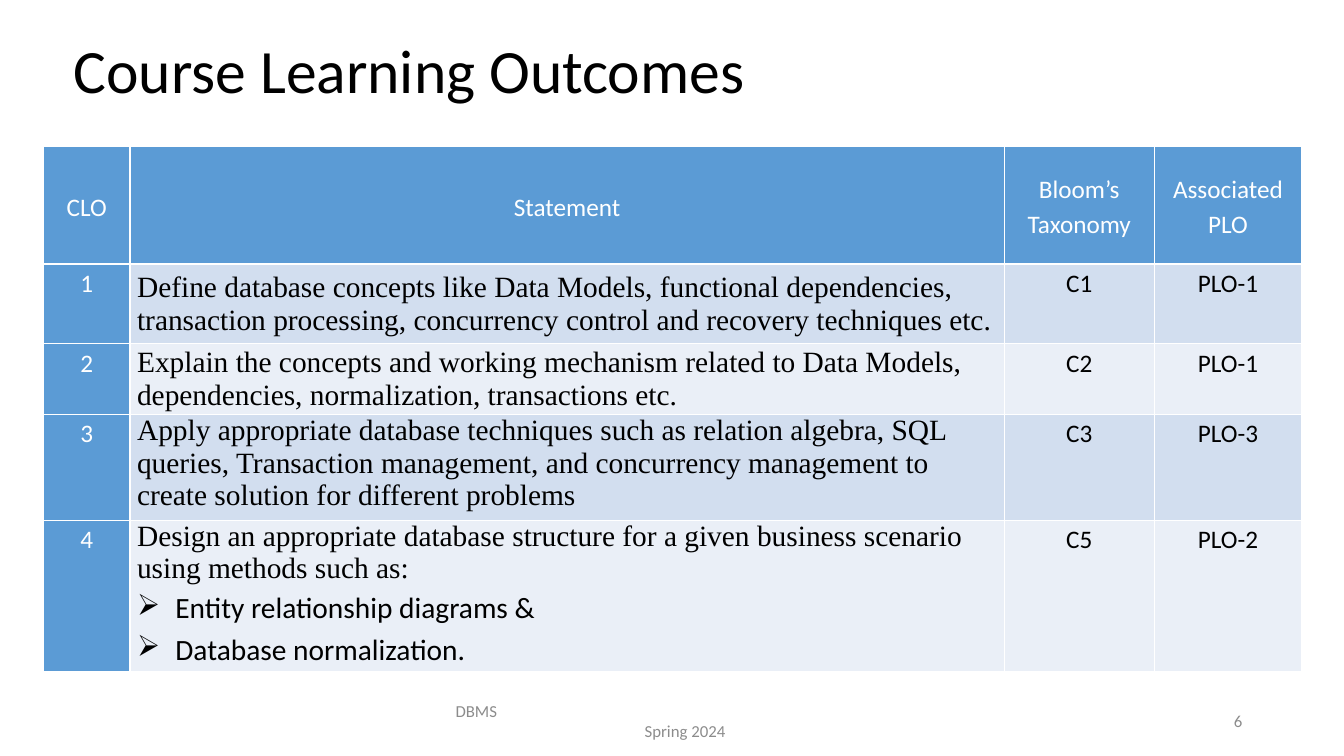
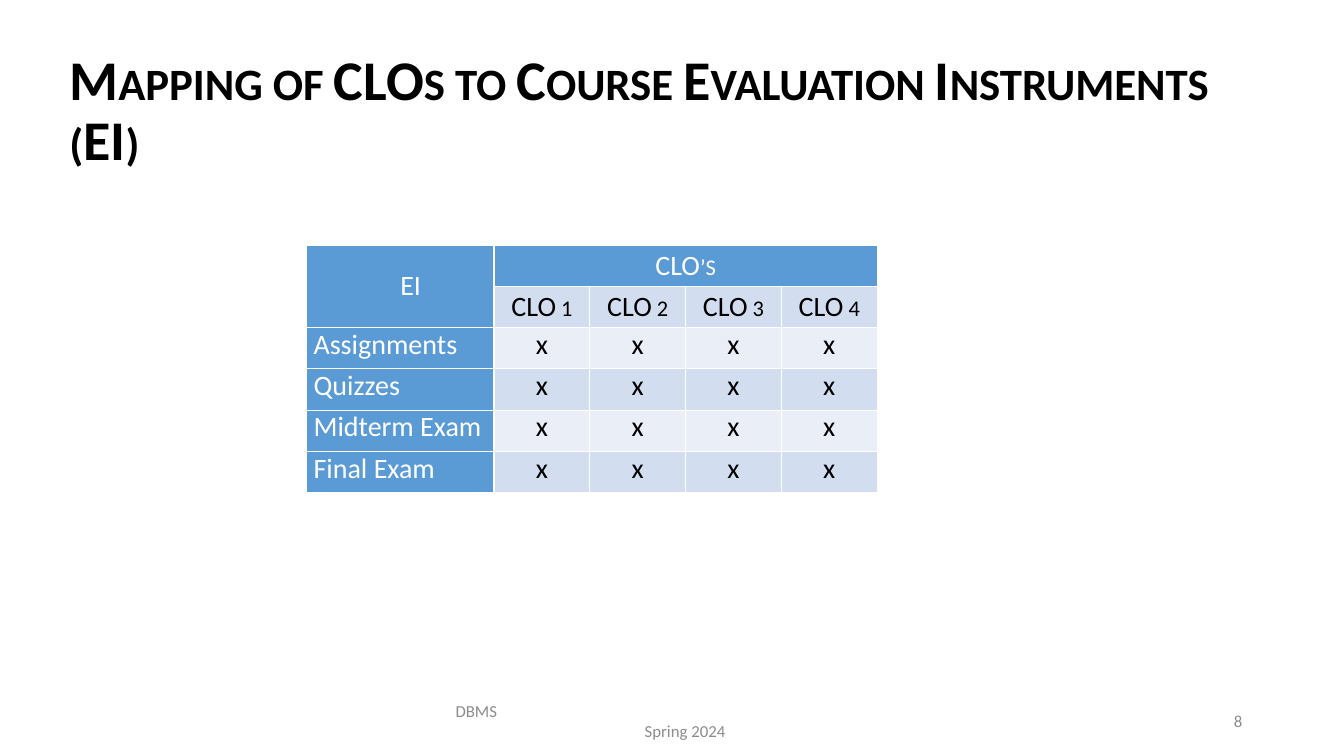
from lxml.etree import SubElement
from pptx import Presentation
from pptx.dml.color import RGBColor
from pptx.enum.text import MSO_ANCHOR as Anchor, PP_ALIGN as Align
from pptx.oxml.ns import qn
from pptx.util import Inches, Pt

COLORS = {
    "text": "000000",
    "light": "FFFFFF",
    "header": "5B9BD5",
    "band_dark": "D2DEEF",
    "band_light": "EAEFF7",
    "footer": "8C8C8C",
}
SANS = "Calibri"
SERIF = "Times New Roman"
BULLET_INDENT = 0.38

OUTCOME_HEADERS = ["CLO", "Statement", "Bloom’s Taxonomy", "Associated PLO"]
OUTCOMES = [
    ("Define database concepts like Data Models, functional dependencies, "
     "transaction processing, concurrency control and recovery techniques etc.",
     [], "C1", "PLO-1"),
    ("Explain the concepts and working mechanism related to Data Models, "
     "dependencies, normalization, transactions etc.",
     [], "C2", "PLO-1"),
    ("Apply appropriate database techniques such as relation algebra, SQL queries, "
     "Transaction management, and concurrency management to create solution for "
     "different problems",
     [], "C3", "PLO-3"),
    ("Design an appropriate database structure for a given business scenario "
     "using methods such as:",
     ["Entity relationship diagrams &", "Database normalization."], "C5", "PLO-2"),
]
INSTRUMENTS = ["Assignments", "Quizzes", "Midterm Exam", "Final Exam"]


def write(paragraph, text, size, color="text", font=SANS, align=Align.LEFT,
          spacing=None, after=0, bold=False, small_caps=False):
    paragraph.text = text
    paragraph.alignment = align
    paragraph.space_after = Pt(after)
    if spacing:
        paragraph.line_spacing = spacing
    for run in paragraph.runs:
        run.font.size = Pt(size)
        run.font.name = font
        run.font.bold = bold
        run.font.color.rgb = RGBColor.from_string(COLORS[color])
        if small_caps:
            run.font._element.set("cap", "small")


def indent(paragraph, left, hanging=0):
    properties = paragraph._p.get_or_add_pPr()
    properties.set("marL", str(Inches(left)))
    properties.set("indent", str(-Inches(hanging)))
    return properties


def add_bullet(paragraph, symbol):
    properties = indent(paragraph, BULLET_INDENT, BULLET_INDENT)
    SubElement(properties, qn("a:buChar")).set("char", symbol)


def add_text_box(slide, box):
    text_frame = slide.shapes.add_textbox(*map(Inches, box)).text_frame
    text_frame.word_wrap = True
    text_frame.vertical_anchor = Anchor.MIDDLE
    return text_frame


def add_title(slide, box, text, size, **style):
    paragraph = add_text_box(slide, box).paragraphs[0]
    write(paragraph, text, size, spacing=0.9, **style)


def add_footer(slide, number, top=6.95, height=0.4):
    label = add_text_box(slide, (4.42, top, 4.5, height))
    write(label.paragraphs[0], "DBMS", 12, "footer")
    term = label.add_paragraph()
    write(term, "Spring 2024", 12, "footer", align=Align.CENTER)
    indent(term, 0.25)
    page = add_text_box(slide, (9.42, top, 3, height))
    write(page.paragraphs[0], str(number), 12, "footer", align=Align.RIGHT)


def style_cell(cell, fill):
    properties = cell._tc.get_or_add_tcPr()
    for side in ("lnL", "lnR", "lnT", "lnB"):
        line = SubElement(properties, qn(f"a:{side}"))
        line.set("w", str(Pt(1)))
        solid = SubElement(line, qn("a:solidFill"))
        SubElement(solid, qn("a:srgbClr")).set("val", COLORS["light"])
    cell.fill.solid()
    cell.fill.fore_color.rgb = RGBColor.from_string(COLORS[fill])
    cell.margin_left = cell.margin_right = Inches(0.07)
    cell.margin_top = cell.margin_bottom = 0


def add_grid(slide, left, top, widths, heights):
    table = slide.shapes.add_table(
        len(heights), len(widths), Inches(left), Inches(top),
        Inches(sum(widths)), Inches(sum(heights))).table
    for column, width in zip(table.columns, widths):
        column.width = Inches(width)
    for index, (row, height) in enumerate(zip(table.rows, heights)):
        row.height = Inches(height)
        band = "band_dark" if index % 2 else "band_light"
        for position, cell in enumerate(row.cells):
            style_cell(cell, "header" if index == 0 or position == 0 else band)
    return table


def fill_cell(cell, text, size, anchor=Anchor.TOP, **style):
    cell.vertical_anchor = anchor
    write(cell.text_frame.paragraphs[0], text, size, **style)


def add_outcomes_table(slide, left, top):
    table = add_grid(slide, left, top, [0.86, 8.67, 1.49, 1.46],
                     [1.17, 0.79, 0.64, 0.97, 1.47])
    centred = {"align": Align.CENTER, "spacing": 1.15}
    for column, header in enumerate(OUTCOME_HEADERS):
        fill_cell(table.cell(0, column), header, 18, Anchor.MIDDLE,
                  color="light", after=10, **centred)
    for row, (statement, methods, level, programme) in enumerate(OUTCOMES, 1):
        fill_cell(table.cell(row, 0), str(row), 18, color="light", **centred)
        cell = table.cell(row, 1)
        fill_cell(cell, statement, 21, Anchor.MIDDLE if row < 3 else Anchor.TOP,
                  font=SERIF)
        for method in methods:
            paragraph = cell.text_frame.add_paragraph()
            write(paragraph, method, 21, spacing=1.15,
                  after=10 if method == methods[-1] else 0)
            add_bullet(paragraph, "➢")
        fill_cell(table.cell(row, 2), level, 18, **centred)
        fill_cell(table.cell(row, 3), programme, 18, **centred)


def add_mapping_table(slide, left, top):
    outcome_count = len(OUTCOMES)
    table = add_grid(slide, left, top, [1.86] + [0.95] * outcome_count,
                     [0.41] * (len(INSTRUMENTS) + 2))
    table.cell(0, 0).merge(table.cell(1, 0))
    table.cell(0, 1).merge(table.cell(0, outcome_count))
    heading = {"anchor": Anchor.MIDDLE, "align": Align.CENTER, "small_caps": True}
    fill_cell(table.cell(0, 0), "EI", 20, color="light", **heading)
    fill_cell(table.cell(0, 1), "CLO’s", 20, color="light", **heading)
    for column in range(1, outcome_count + 1):
        fill_cell(table.cell(1, column), f"CLO {column}", 20, **heading)
    for row, instrument in enumerate(INSTRUMENTS, 2):
        fill_cell(table.cell(row, 0), instrument, 20, color="light")
        for column in range(1, outcome_count + 1):
            fill_cell(table.cell(row, column), "x", 20, align=Align.CENTER)


def add_outcomes_slide(slide):
    add_title(slide, (0.63, 0, 11.5, 1.45), "Course Learning Outcomes", 44)
    add_outcomes_table(slide, 0.43, 1.45)
    add_footer(slide, 6)


def add_mapping_slide(slide):
    add_title(slide, (0.59, 0.39, 12.05, 1.45),
              "Mapping of CLOs to Course Evaluation Instruments (EI)", 40,
              bold=True, small_caps=True)
    add_mapping_table(slide, 3.04, 2.43)
    add_footer(slide, 8)


def main():
    presentation = Presentation()
    presentation.slide_width = Inches(13.33)
    presentation.slide_height = Inches(7.5)
    blank = presentation.slide_layouts[6]
    for build in (add_outcomes_slide, add_mapping_slide):
        build(presentation.slides.add_slide(blank))
    presentation.save("out.pptx")


if __name__ == "__main__":
    main()
